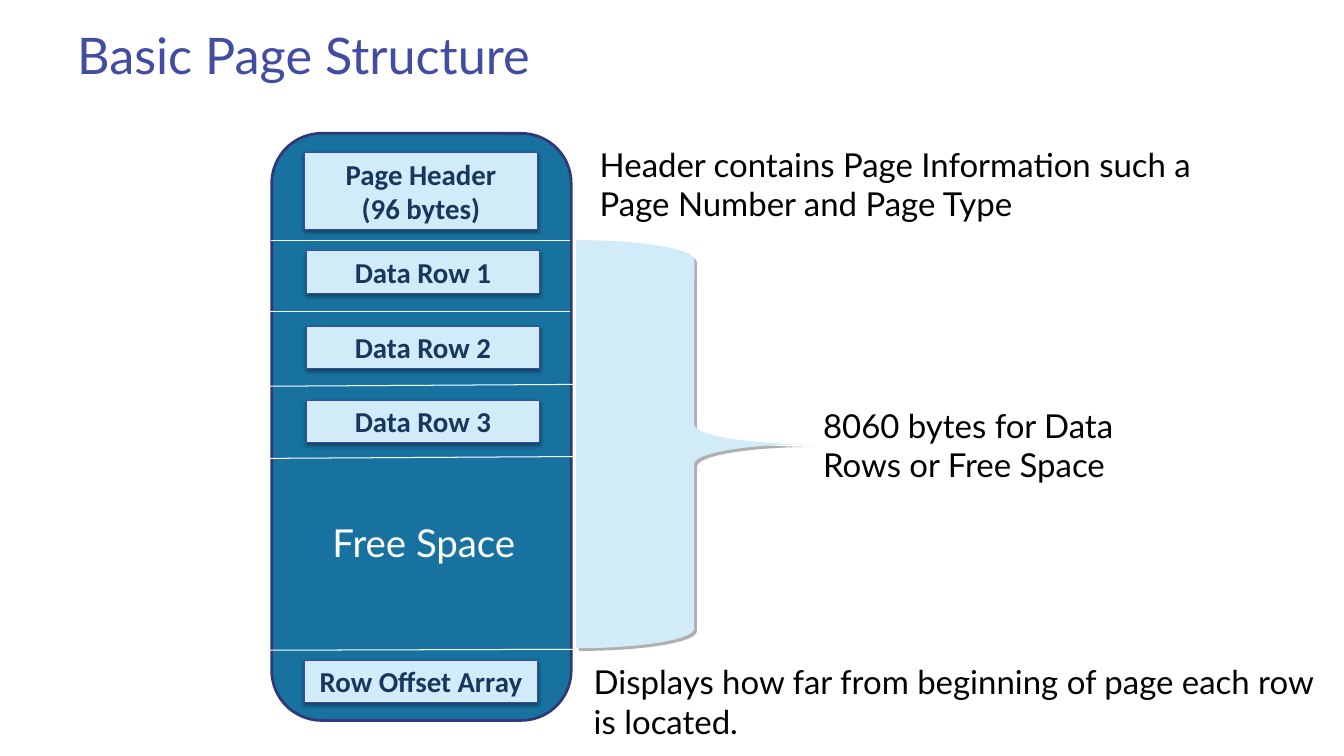
from lxml.etree import SubElement
from pptx import Presentation
from pptx.dml.color import RGBColor
from pptx.enum.shapes import MSO_CONNECTOR, MSO_SHAPE
from pptx.enum.text import MSO_ANCHOR, MSO_AUTO_SIZE, PP_ALIGN
from pptx.oxml.ns import qn
from pptx.util import Emu, Pt

PX = 9144  # 100 px to the inch

TITLE_BLUE = RGBColor(0x42, 0x4C, 0xA0)
PAGE_BLUE = RGBColor(0x18, 0x72, 0xA0)
PAGE_EDGE = RGBColor(0x31, 0x38, 0x76)
PALE_BLUE = RGBColor(0xD1, 0xEB, 0xF8)
LABEL_EDGE = RGBColor(0x3E, 0x49, 0x9F)
LABEL_TEXT = RGBColor(0x17, 0x37, 0x5E)
SHADOW_GREY = RGBColor(0xAF, 0xAF, 0xAF)
BLACK = RGBColor(0, 0, 0)
WHITE = RGBColor(0xFF, 0xFF, 0xFF)

LABELS = [
    (308, 154, 78, ["Page Header", "(96 bytes)"]),
    (310, 254, 43, ["Data Row 1"]),
    (310, 330, 43, ["Data Row 2"]),
    (310, 405, 43, ["Data Row 3"]),
    (308, 668, 43, ["Row Offset Array"]),
]
LABEL_WIDTH = 236

# Right end, then left end, of each line across the page
DIVIDERS = [
    (577, 243, 274, 243),
    (577, 315, 273, 315),
    (581, 389, 245, 391),
    (583, 462, 246, 464),
    (597, 657, 260, 658),
]

NOTES = [
    (597, 141, 681, "Header contains Page Information such a Page Number and Page Type"),
    (823, 405, 348, "8060 bytes for Data Rows or Free Space"),
    (591, 665, 750, "Displays how far from beginning of page each row is located."),
]


def px(*lengths):
    return [Emu(length * PX) for length in lengths]


def write(frame, lines, size, font, color, align=PP_ALIGN.LEFT, bold=False):
    frame.word_wrap = True
    for index, line in enumerate(lines):
        para = frame.add_paragraph() if index else frame.paragraphs[0]
        para.alignment = align
        span = para.add_run()
        span.text = line
        span.font.size = Pt(size)
        span.font.name = font
        span.font.bold = bold
        span.font.color.rgb = color


def add_block(page, kind, place, fill, edge=None, edge_width=0.75):
    block = page.shapes.add_shape(kind, *px(*place))
    block.shadow.inherit = False
    block.fill.solid()
    block.fill.fore_color.rgb = fill
    if edge is None:
        block.line.fill.background()
    else:
        block.line.color.rgb = edge
        block.line.width = Pt(edge_width)
    return block


def cast_shadow(block, color, alpha, blur, distance, angle):
    """Fill the block's empty effect list; blur and distance are in points."""
    effects = block._element.spPr.find(qn("a:effectLst"))
    shadow = SubElement(effects, qn("a:outerShdw"), blurRad=str(Pt(blur)),
                        dist=str(Pt(distance)), dir=str(angle * 60000),
                        algn="ctr", rotWithShape="0")
    tint = SubElement(shadow, qn("a:srgbClr"), val=str(color))
    SubElement(tint, qn("a:alpha"), val=str(alpha * 1000))


def add_label(page, left, top, height, lines):
    label = add_block(page, MSO_SHAPE.RECTANGLE, (left, top, LABEL_WIDTH, height),
                      PALE_BLUE, LABEL_EDGE)
    cast_shadow(label, BLACK, 38, 3.1, 1.6, 90)
    frame = label.text_frame
    frame.margin_left, frame.margin_right = px(7, 7)
    frame.margin_top, frame.margin_bottom = px(4, 4)
    frame.vertical_anchor = MSO_ANCHOR.MIDDLE
    write(frame, lines, 21, "Calibri", LABEL_TEXT, PP_ALIGN.CENTER, bold=True)


def add_divider(page, ends):
    divider = page.shapes.add_connector(MSO_CONNECTOR.STRAIGHT, *px(*ends))
    divider.line.color.rgb = WHITE
    divider.line.width = Pt(0.75)
    SubElement(divider._element.spPr, qn("a:effectLst"))


def add_text(page, place, text, size, color, align=PP_ALIGN.LEFT):
    box = page.shapes.add_textbox(*px(*place))
    write(box.text_frame, [text], size, "Lato", color, align)


def set_title(page, text):
    title = page.shapes.title
    title.left, title.top, title.width, title.height = px(68, 31, 1224, 127)
    frame = title.text_frame
    frame.auto_size = MSO_AUTO_SIZE.NONE
    frame.vertical_anchor = MSO_ANCHOR.TOP
    write(frame, [text], 36.7, "Lato", TITLE_BLUE)
    frame.paragraphs[0].line_spacing = Pt(35.7)


def main():
    deck = Presentation()
    deck.slide_width, deck.slide_height = px(1360, 765)
    page = deck.slides.add_slide(deck.slide_layouts[5])

    set_title(page, "Basic Page Structure")
    add_block(page, MSO_SHAPE.ROUNDED_RECTANGLE, (275, 135, 303, 594),
              PAGE_BLUE, PAGE_EDGE, 2)
    for ends in DIVIDERS:
        add_divider(page, ends)
    for label in LABELS:
        add_label(page, *label)
    add_text(page, (301, 520, 256, 57), "Free Space", 28, WHITE, PP_ALIGN.CENTER)

    brace = add_block(page, MSO_SHAPE.RIGHT_BRACE, (583, 243, 239, 413), PALE_BLUE)
    cast_shadow(brace, SHADOW_GREY, 100, 0, 2.8, 45)
    for left, top, width, text in NOTES:
        add_text(page, (left, top, width, 91), text, 24, BLACK)

    deck.save("out.pptx")


if __name__ == "__main__":
    main()
